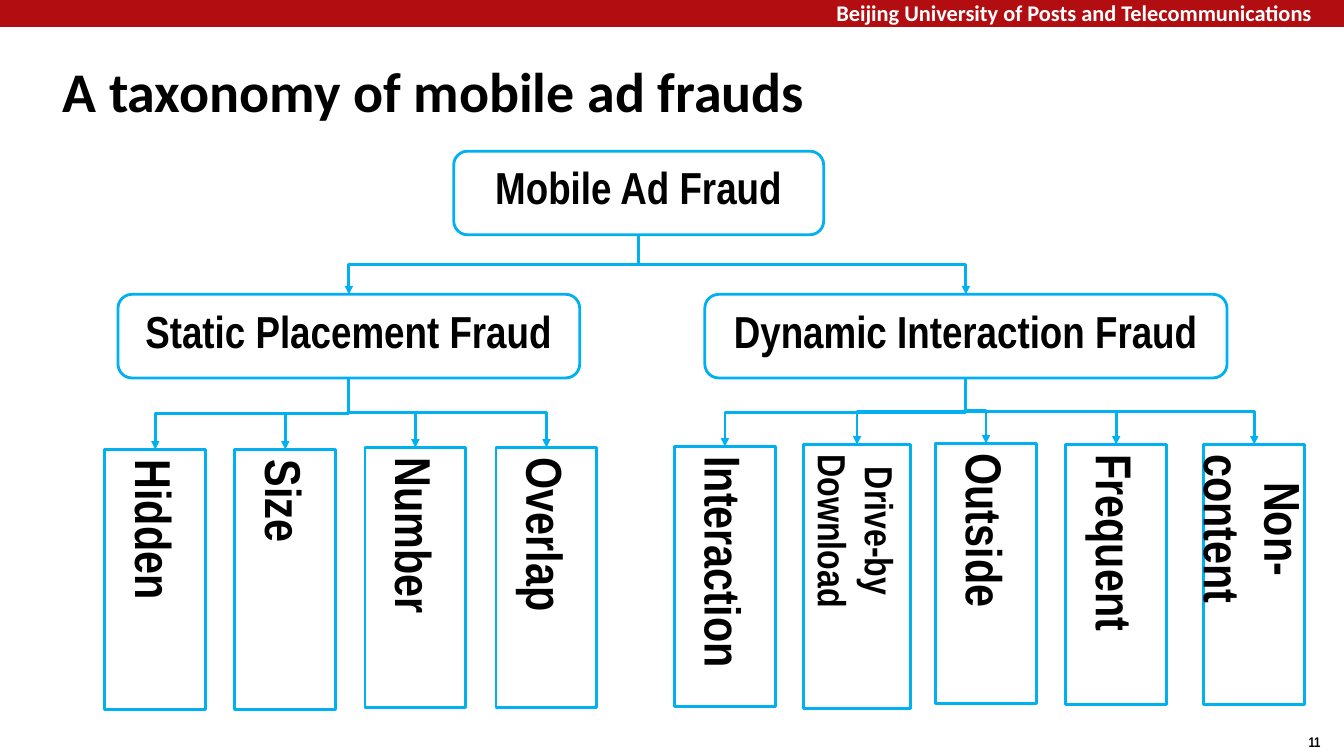
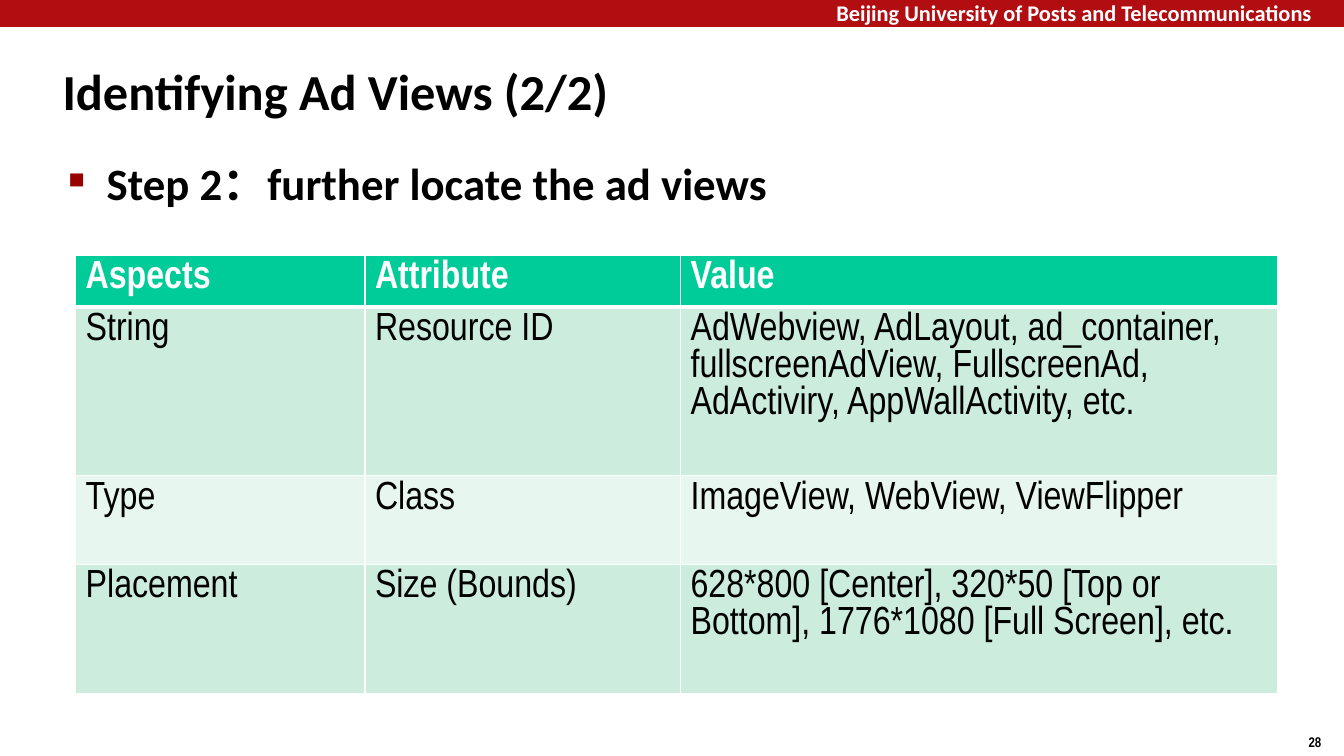
from dataclasses import dataclass
from typing import Any

import pptx
import pptx.dml.color
import pptx.enum.shapes
import pptx.enum.text
import pptx.oxml.ns
import pptx.util
from lxml import etree

Inches = pptx.util.Inches
Pt = pptx.util.Pt
RGBColor = pptx.dml.color.RGBColor
Align = pptx.enum.text.PP_ALIGN
Anchor = pptx.enum.text.MSO_ANCHOR
Shape = pptx.enum.shapes.MSO_SHAPE
qn = pptx.oxml.ns.qn

# Shared colours and fonts
BLACK = RGBColor(0x00, 0x00, 0x00)
WHITE = RGBColor(0xFF, 0xFF, 0xFF)
BAND_RED = RGBColor(0xB2, 0x0E, 0x12)
BULLET_RED = RGBColor(0x99, 0x00, 0x00)
SKY_BLUE = RGBColor(0x00, 0xB0, 0xF0)
HEADER_GREEN = RGBColor(0x00, 0xCC, 0x99)
ROW_GREENS = (RGBColor(0xCC, 0xEC, 0xDE), RGBColor(0xE7, 0xF6, 0xEF))
HEADING_FONT = "Calibri"
BODY_FONT = "Arial Narrow"

BOTTOM, TOP = 2, 0  # connection sites
SLIDE_WIDTH = 13.33


@dataclass(frozen=True)
class Node:
    label: str
    left: float
    top: float
    width: float = 1.0
    height: float = 2.58
    size: float = 36


@dataclass(frozen=True)
class Branch:
    head: Node
    leaves: tuple[Node, ...]


ROOT = Node("Mobile Ad Fraud", 4.5, 1.5, 3.67, 0.83, 32)
BRANCHES = (
    Branch(
        Node("Static Placement Fraud", 1.17, 2.92, 4.58, 0.83, 32),
        (
            Node("Hidden", 1.04, 4.46),
            Node("Size", 2.33, 4.46),
            Node("Number", 3.62, 4.44),
            Node("Overlap", 4.92, 4.44),
        ),
    ),
    Branch(
        Node("Dynamic Interaction Fraud", 6.99, 2.92, 5.18, 0.83, 32),
        (
            Node("Interaction", 6.69, 4.43),
            Node("Drive-by Download", 7.97, 4.41, 1.06, 2.62, 28),
            Node("Outside", 9.28, 4.4),
            Node("Frequent", 10.57, 4.41),
            Node("Non-content", 11.94, 4.41),
        ),
    ),
)

COLUMN_WIDTHS = (2.87, 3.13, 5.92)
ROW_HEIGHTS = (0.48, 1.67, 0.88, 1.28)
AD_VIEW_ROWS = (
    ("Aspects", "Attribute", "Value"),
    ("String", "Resource ID",
     "AdWebview, AdLayout, ad_container, fullscreenAdView, FullscreenAd, "
     "AdActiviry, AppWallActivity, etc."),
    ("Type", "Class", "ImageView, WebView, ViewFlipper"),
    ("Placement", "Size (Bounds)",
     "628*800 [Center], 320*50 [Top or Bottom], 1776*1080 [Full Screen], etc."),
)


def write_text(frame: Any, text: str, *, size: float, font: str = BODY_FONT,
               color: RGBColor = BLACK, bold: bool = True,
               align: Any = Align.LEFT, anchor: Any = Anchor.TOP,
               wrap: bool = True) -> Any:
    """Fill a text frame with one formatted paragraph and return it."""
    frame.word_wrap = wrap
    frame.vertical_anchor = anchor
    para = frame.paragraphs[0]
    para.alignment = align
    para.space_before = Pt(0)
    span = para.add_run()
    span.text = text
    span.font.name = font
    span.font.size = Pt(size)
    span.font.bold = bold
    span.font.color.rgb = color
    return para


def hang_indent(para: Any, indent: float) -> Any:
    properties = para._p.get_or_add_pPr()
    properties.set("marL", str(Inches(indent)))
    properties.set("indent", str(-Inches(indent)))
    return properties


def add_text_box(page: Any, left: float, top: float, width: float,
                 height: float) -> Any:
    return page.shapes.add_textbox(
        Inches(left), Inches(top), Inches(width), Inches(height)).text_frame


def add_page(deck: Any, title: str, title_size: float, number: str) -> Any:
    """Add a title-only page with the red band and page number."""
    page = deck.slides.add_slide(deck.slide_layouts[5])

    # Band with the university name
    band = page.shapes.add_shape(
        Shape.RECTANGLE, 0, 0, Inches(SLIDE_WIDTH), Inches(0.25))
    band.shadow.inherit = False
    band.fill.solid()
    band.fill.fore_color.rgb = BAND_RED
    band.line.color.rgb = BAND_RED
    band.line.width = Pt(2)
    name = add_text_box(page, 0.02, 0, 13.09, 0.25)
    name.margin_top = name.margin_bottom = 0
    write_text(name, "Beijing University of Posts and Telecommunications",
               size=16, font=HEADING_FONT, color=WHITE, align=Align.RIGHT,
               anchor=Anchor.MIDDLE)

    # Page number
    write_text(add_text_box(page, 12.88, 7.23, 0.34, 0.27), number, size=10,
               wrap=False)

    # Title
    box = page.shapes.title
    box.left, box.top = Inches(0.52), Inches(0.48)
    box.width, box.height = Inches(11.07), Inches(0.83)
    box.text_frame.auto_size = pptx.enum.text.MSO_AUTO_SIZE.NONE
    para = write_text(box.text_frame, title, size=title_size,
                      font=HEADING_FONT, anchor=Anchor.MIDDLE)
    hang_indent(para, 0.13)
    return page


def add_node(page: Any, node: Node, *, vertical: bool = False) -> Any:
    box = page.shapes.add_shape(
        Shape.RECTANGLE if vertical else Shape.ROUNDED_RECTANGLE,
        Inches(node.left), Inches(node.top),
        Inches(node.width), Inches(node.height))
    box.shadow.inherit = False
    box.fill.background()
    box.line.color.rgb = SKY_BLUE
    box.line.width = Pt(2)
    frame = box.text_frame
    write_text(frame, node.label, size=node.size, align=Align.CENTER,
               anchor=Anchor.MIDDLE if vertical else Anchor.TOP)
    if vertical:
        # Narrow margins keep the longest label in one column
        frame.margin_left = frame.margin_right = Inches(0.05)
        frame.margin_top = frame.margin_bottom = Inches(0.05)
        frame._txBody.bodyPr.set("vert", "eaVert")
    return box


def add_elbow(page: Any, parent: Any, child: Any) -> None:
    """Join a parent's bottom to a child's top with a down-across-down arrow."""
    start_x, start_y = parent.left + parent.width // 2, parent.top + parent.height
    end_x, end_y = child.left + child.width // 2, child.top
    elbow = page.shapes.add_connector(
        pptx.enum.shapes.MSO_CONNECTOR.ELBOW, start_x, start_y, end_x, end_y)
    elbow.begin_connect(parent, BOTTOM)
    elbow.end_connect(child, TOP)

    # The elbow runs sideways by default: turn it about its centre
    drop, across = end_y - start_y, abs(end_x - start_x)
    frame = elbow._element.spPr.find(qn("a:xfrm"))
    for flip in ("flipH", "flipV"):
        frame.attrib.pop(flip, None)
    elbow.left = (start_x + end_x - drop) // 2
    elbow.top = (start_y + end_y - across) // 2
    elbow.width, elbow.height = drop, across
    if end_x < start_x:
        frame.set("rot", str(90 * 60000))
    else:
        frame.set("rot", str(270 * 60000))
        frame.set("flipH", "1")

    elbow.line.color.rgb = SKY_BLUE
    elbow.line.width = Pt(2)
    properties = elbow._element.spPr
    etree.SubElement(properties.find(qn("a:ln")), qn("a:tailEnd"), type="triangle")
    etree.SubElement(properties, qn("a:effectLst"))


def set_borders(cell: Any, bottom_width: float) -> None:
    properties = cell._tc.get_or_add_tcPr()
    widths = {"lnL": 1, "lnR": 1, "lnT": 1, "lnB": bottom_width}
    for side, width in widths.items():
        border = etree.SubElement(properties, qn(f"a:{side}"), w=str(Pt(width)))
        fill = etree.SubElement(border, qn("a:solidFill"))
        etree.SubElement(fill, qn("a:srgbClr"), val=str(WHITE))


def add_ad_view_table(page: Any) -> None:
    table = page.shapes.add_table(
        len(ROW_HEIGHTS), len(COLUMN_WIDTHS), Inches(0.75), Inches(2.53),
        Inches(sum(COLUMN_WIDTHS)), Inches(sum(ROW_HEIGHTS))).table
    for column, width in zip(table.columns, COLUMN_WIDTHS):
        column.width = Inches(width)
    for index, (row, height) in enumerate(zip(table.rows, ROW_HEIGHTS)):
        row.height = Inches(height)
        header = index == 0
        for cell, text in zip(row.cells, AD_VIEW_ROWS[index]):
            set_borders(cell, 3 if header else 1)
            cell.fill.solid()
            cell.fill.fore_color.rgb = (
                HEADER_GREEN if header else ROW_GREENS[(index - 1) % 2])
            if header:
                cell.margin_bottom = 0  # bold lines are taller
            write_text(cell.text_frame, text, size=28, bold=header,
                       color=WHITE if header else BLACK)


def build_taxonomy(deck: Any) -> None:
    page = add_page(deck, "A taxonomy of mobile ad frauds", 40, "11")
    root = add_node(page, ROOT)
    for branch in BRANCHES:
        head = add_node(page, branch.head)
        add_elbow(page, root, head)
        for leaf in branch.leaves:
            add_elbow(page, head, add_node(page, leaf, vertical=True))


def build_ad_views(deck: Any) -> None:
    page = add_page(deck, "Identifying Ad Views (2/2)", 36, "28")

    # Bulleted step
    step = add_text_box(page, 0.58, 1.5, 12.25, 0.7)
    para = write_text(step, "Step 2：further locate the ad views", size=32,
                      font=HEADING_FONT)
    properties = hang_indent(para, 0.38)
    bullet_color = etree.SubElement(properties, qn("a:buClr"))
    etree.SubElement(bullet_color, qn("a:srgbClr"), val=str(BULLET_RED))
    etree.SubElement(properties, qn("a:buSzPct"), val="50000")
    etree.SubElement(properties, qn("a:buChar"), char="■")

    add_ad_view_table(page)


def main() -> None:
    deck = pptx.Presentation()
    deck.slide_width, deck.slide_height = Inches(SLIDE_WIDTH), Inches(7.5)
    build_taxonomy(deck)
    build_ad_views(deck)
    deck.save("out.pptx")


if __name__ == "__main__":
    main()
